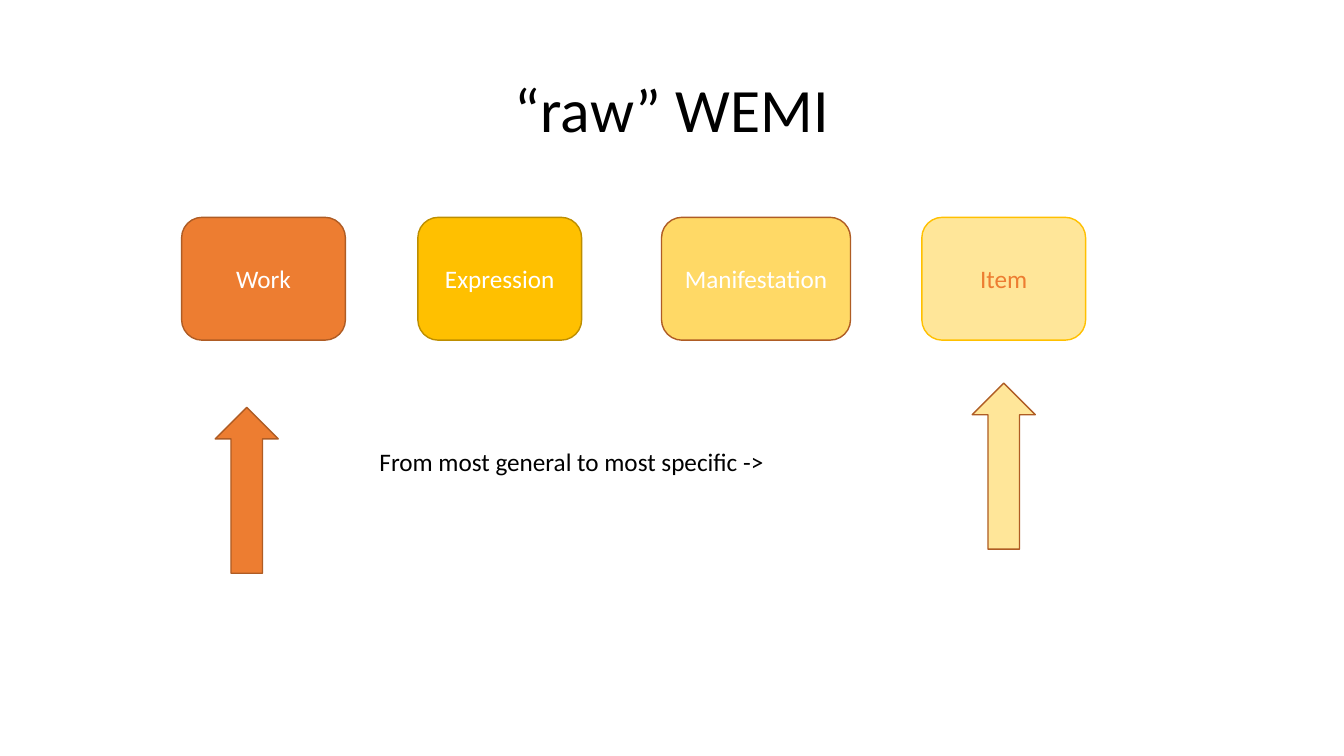
import pptx
import pptx.util
import pptx.dml.color
import pptx.enum.shapes
import pptx.enum.text
from dataclasses import dataclass

PX = 9525  # EMU per px, 96 px to the inch
SHAPE = pptx.enum.shapes.MSO_SHAPE
ALIGN = pptx.enum.text.PP_ALIGN
MIDDLE = pptx.enum.text.MSO_ANCHOR.MIDDLE


@dataclass(frozen=True)
class Theme:
    font: str = "Calibri"
    head: int = 44
    body: int = 18
    black: str = "000000"
    white: str = "FFFFFF"
    orange: str = "ED7D31"
    rust: str = "AF5C24"
    gold: str = "FFC000"
    bronze: str = "BD8E00"
    sand: str = "FFD966"
    cream: str = "FFE699"


theme = Theme()


def write(shape, text, size=theme.body, color=theme.black, align=ALIGN.CENTER, space=None):
    frame = shape.text_frame
    frame.word_wrap = True
    frame.vertical_anchor = MIDDLE
    para = frame.paragraphs[0]
    para.text = text
    para.alignment = align
    para.line_spacing = space
    font = para.runs[0].font
    font.name = theme.font
    font.size = pptx.util.Pt(size)
    font.color.rgb = pptx.dml.color.RGBColor.from_string(color)


def draw(kind, box, fill, line):
    shape = slide.shapes.add_shape(kind, *(n * PX for n in box))
    shape.shadow.inherit = False
    shape.fill.solid()
    shape.fill.fore_color.rgb = pptx.dml.color.RGBColor.from_string(fill)
    shape.line.color.rgb = pptx.dml.color.RGBColor.from_string(line)
    shape.line.width = pptx.util.Pt(1)
    return shape


deck = pptx.Presentation()
deck.slide_width, deck.slide_height = 1280 * PX, 720 * PX
slide = deck.slides.add_slide(deck.slide_layouts[5])

title = slide.shapes.title
title.left, title.top, title.width, title.height = (n * PX for n in (88, 38, 1104, 139))
write(title, "“raw” WEMI", size=theme.head, space=0.9)

levels = [
    ("Work", 173, 156, theme.orange, theme.rust, theme.white),
    ("Expression", 398, 156, theme.gold, theme.bronze, theme.white),
    ("Manifestation", 630, 180, theme.sand, theme.rust, theme.white),
    ("Item", 878, 156, theme.cream, theme.gold, theme.orange),
]
for name, left, width, fill, line, ink in levels:
    card = draw(SHAPE.ROUNDED_RECTANGLE, (left, 207, width, 117), fill, line)
    write(card, name, color=ink)

for left, top, fill in [(205, 388, theme.orange), (926, 365, theme.cream)]:
    draw(SHAPE.UP_ARROW, (left, top, 60, 158), fill, theme.rust)

note = slide.shapes.add_textbox(*(n * PX for n in (352, 420, 527, 39)))
write(note, "From most general to most specific ->", align=ALIGN.LEFT)

deck.save("out.pptx")
